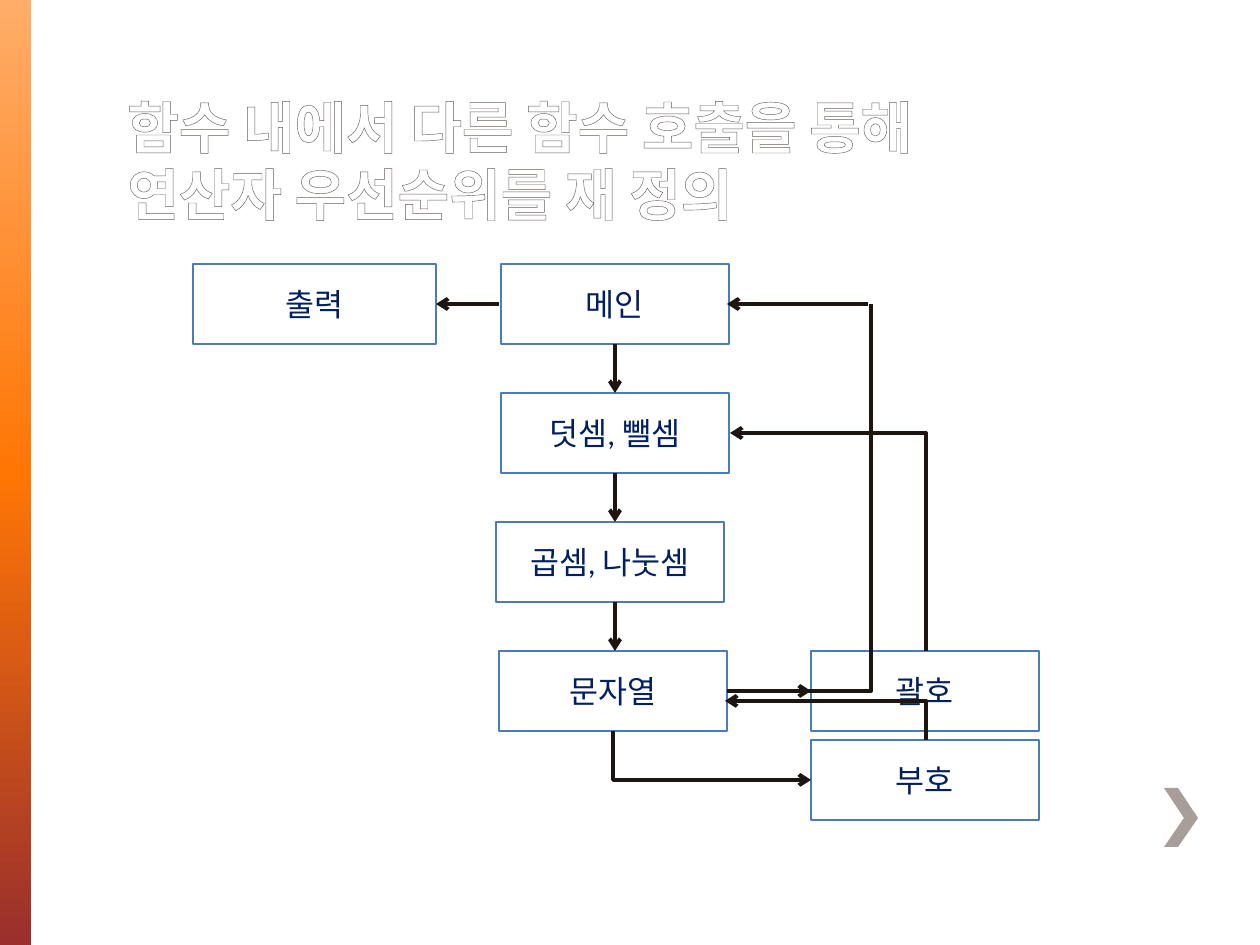
from copy import deepcopy

from lxml import etree
from pptx import Presentation
from pptx.dml.color import RGBColor
from pptx.enum.shapes import MSO_CONNECTOR as CONNECTOR, MSO_SHAPE as SHAPE
from pptx.enum.text import MSO_ANCHOR as ANCHOR, PP_ALIGN as ALIGN
from pptx.oxml.ns import qn
from pptx.util import Emu, Pt

PX = 914400 / 126
FONT = "Calibri"
INK = "1C1511"
ROW_TOP, ROW_PITCH = 264, 129
BOX_WIDTH, BOX_HEIGHT = 228, 80


def px(value):
    return Emu(round(value * PX))


def color(value):
    return RGBColor.from_string(value)


def set_font(run, **format_values):
    values = {"name": FONT, **format_values}
    run.font.color.rgb = color(values.pop("rgb"))
    for name, value in values.items():
        setattr(run.font, name, value)


def add_side_band(slide):
    band = slide.shapes.add_shape(SHAPE.RECTANGLE, 0, 0, px(31), px(945))
    band.shadow.inherit = False
    band.line.fill.background()
    band.fill.gradient()
    band.fill.gradient_angle = 270
    stop_list = band.fill._fill._gradFill.find(qn("a:gsLst"))
    stop_list.append(deepcopy(stop_list[0]))
    stops = ((0, "FFAD69"), (0.5, "FF7605"), (1, "9A2F2C"))
    for stop, (position, rgb) in zip(band.fill.gradient_stops, stops):
        stop.position = position
        stop.color.rgb = color(rgb)


def add_chevron(slide):
    points = [(1164, 788), (1184, 818), (1164, 847), (1178, 847), (1198, 818)]
    builder = slide.shapes.build_freeform(1178, 788, scale=PX)
    builder.add_line_segments(points, close=True)
    chevron = builder.convert_to_shape()
    chevron.shadow.inherit = False
    chevron.fill.solid()
    chevron.fill.fore_color.rgb = color("A79D99")
    chevron.line.fill.background()


def outline_text(run, rgb, width):
    line = etree.Element(qn("a:ln"), w=str(Pt(width)))
    fill = etree.SubElement(line, qn("a:solidFill"))
    etree.SubElement(fill, qn("a:srgbClr"), val=rgb)
    run.font._element.insert(0, line)


def add_title(slide, lines):
    frame = slide.shapes.add_textbox(px(115), px(76), px(998), px(157)).text_frame
    frame.word_wrap = True
    frame.vertical_anchor = ANCHOR.BOTTOM
    paragraph = frame.paragraphs[0]
    for index, text in enumerate(lines):
        if index:
            paragraph.add_line_break()
        run = paragraph.add_run()
        run.text = text
        set_font(run, rgb="FFFFFF", size=Pt(32), bold=True)
        outline_text(run, "675D59", 1)


def add_process(slide, text, left, top, width=BOX_WIDTH):
    box = slide.shapes.add_shape(
        SHAPE.FLOWCHART_PROCESS, px(left), px(top), px(width), px(BOX_HEIGHT))
    box.shadow.inherit = False
    box.fill.background()
    box.line.color.rgb = color("4A7CBB")
    box.line.width = Pt(1.25)
    frame = box.text_frame
    frame.word_wrap = True
    frame.vertical_anchor = ANCHOR.MIDDLE
    paragraph = frame.paragraphs[0]
    paragraph.alignment = ALIGN.CENTER
    run = paragraph.add_run()
    run.text = text
    set_font(run, rgb="002060", size=Pt(18))


def style_connector(connector, arrow):
    connector.line.color.rgb = color(INK)
    connector.line.width = Pt(2.25)
    if arrow:
        line = connector.line._get_or_add_ln()
        etree.SubElement(line, qn("a:tailEnd"), type="arrow")
    etree.SubElement(connector._element.spPr, qn("a:effectLst"))


def add_line(slide, start, end, arrow=True):
    connector = slide.shapes.add_connector(
        CONNECTOR.STRAIGHT, *map(px, start + end))
    style_connector(connector, arrow)


def add_bend(slide, start, end, arrow=True):
    """Run vertically from start, then horizontally to end."""
    (x1, y1), (x2, y2) = start, end
    width, height = abs(y2 - y1), abs(x2 - x1)
    left, top = (x1 + x2 - width) / 2, (y1 + y2 - height) / 2
    connector = slide.shapes.add_connector(
        CONNECTOR.ELBOW, px(left), px(top), px(left + width), px(top + height))
    properties = connector._element.spPr
    properties.find(qn("a:prstGeom")).set("prst", "bentConnector2")
    transform = properties.find(qn("a:xfrm"))
    down, leftward = y2 > y1, x2 < x1
    if down and leftward:
        transform.set("rot", "5400000")
    else:
        transform.set("rot", "16200000")
        transform.set("flipH" if down else "flipV", "1")
    style_connector(connector, arrow)


def main():
    presentation = Presentation()
    presentation.slide_width, presentation.slide_height = px(1260), px(945)
    slide = presentation.slides.add_slide(presentation.slide_layouts[6])

    add_side_band(slide)
    add_chevron(slide)
    add_title(slide, ["함수 내에서 다른 함수 호출을 통해", "연산자 우선순위를 재 정의"])

    tops = [ROW_TOP + ROW_PITCH * row for row in range(4)]
    middles = [top + BOX_HEIGHT // 2 for top in tops]
    steps = [("메인", 501), ("덧셈, 뺄셈", 501), ("곱셈, 나눗셈", 496), ("문자열", 499)]
    for (text, left), top in zip(steps, tops):
        add_process(slide, text, left, top)
    sign_top = 740
    add_process(slide, "부호", 811, sign_top)
    add_process(slide, "출력", 193, tops[0], 243)
    add_process(slide, "괄호", 811, tops[3])

    for upper, lower in zip(tops, tops[1:]):
        add_line(slide, (615, upper + BOX_HEIGHT), (615, lower))
    add_bend(slide, (613, tops[3] + BOX_HEIGHT), (811, sign_top + BOX_HEIGHT // 2))
    add_bend(slide, (926, sign_top), (725, 701))
    add_line(slide, (727, middles[3]), (811, middles[3]))
    add_bend(slide, (926, tops[3]), (730, middles[1]))
    add_line(slide, (499, middles[0]), (436, middles[0]))
    add_bend(slide, (871, middles[0]), (868, middles[3]), arrow=False)
    add_line(slide, (868, middles[3]), (727, middles[3]), arrow=False)
    add_line(slide, (868, middles[0]), (727, middles[0]))

    presentation.save("out.pptx")


if __name__ == "__main__":
    main()
